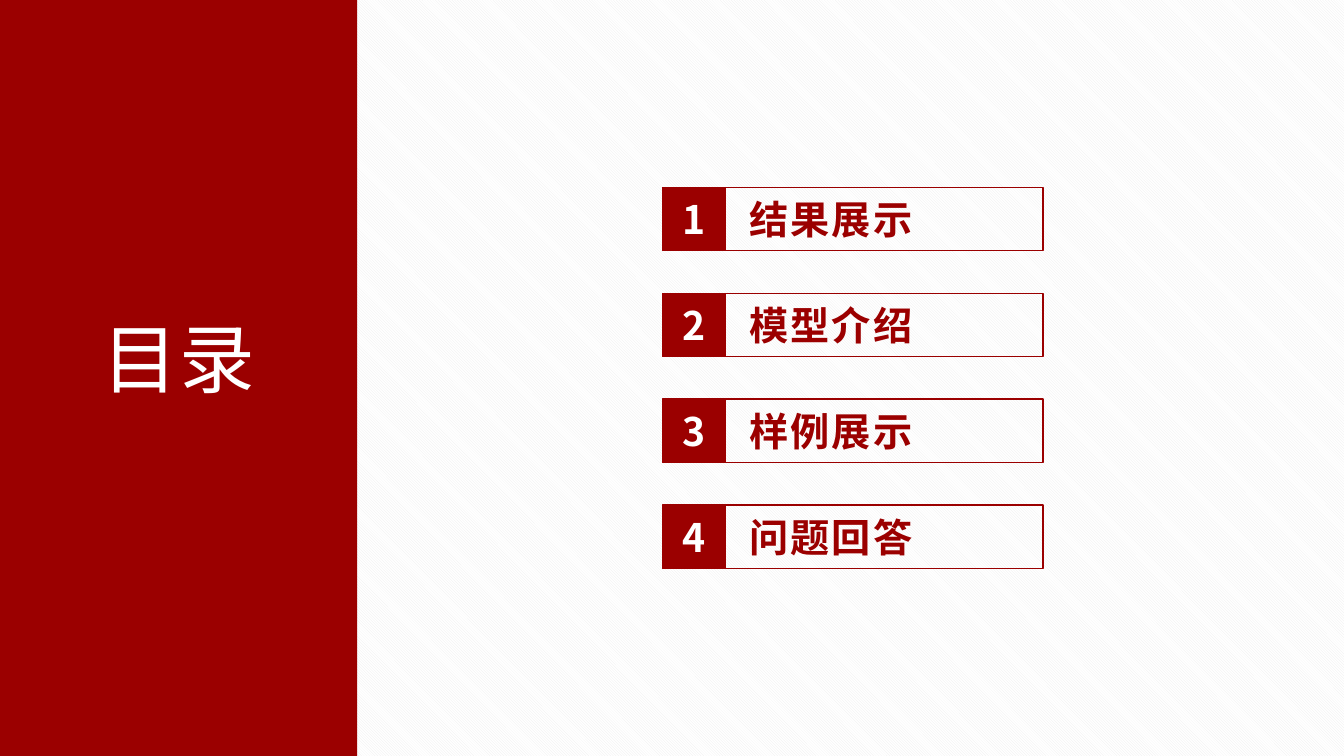
"""Build the agenda slide with a red title panel and four numbered entries."""
from dataclasses import dataclass

from pptx import Presentation
from pptx.dml.color import RGBColor
from pptx.enum import dml, shapes, text
from pptx.oxml import ns
from pptx.util import Cm, Pt
from lxml import etree

TITLE = "目录"
ENTRIES = ["结果展示", "模型介绍", "样例展示", "问题回答"]


@dataclass(frozen=True)
class Theme:
    red: RGBColor = RGBColor(0x9B, 0x00, 0x00)
    white: RGBColor = RGBColor(0xFF, 0xFF, 0xFF)
    stripe: RGBColor = RGBColor(0xEB, 0xEB, 0xEB)
    font: str = "Noto Sans CJK SC"
    title_size: int = 54
    entry_size: int = 28
    spacing: int = 150


THEME = Theme()
PAGE_WIDTH, PAGE_HEIGHT = Cm(33.87), Cm(19.05)
PANEL_WIDTH = Cm(9)
LIST_LEFT, LIST_TOP = Cm(16.69), Cm(4.72)
NUMBER_SIDE, ENTRY_WIDTH = Cm(1.6), Cm(8)
ROW_STEP = Cm(2.67)


def write(box, words, size, color, align, bold=False):
    frame = box.text_frame
    frame.text = words
    frame.word_wrap = True
    frame.auto_size = text.MSO_AUTO_SIZE.NONE
    frame.vertical_anchor = text.MSO_ANCHOR.MIDDLE
    para = frame.paragraphs[0]
    para.alignment = align
    font = para.font
    font.size, font.bold, font.name = Pt(size), bold, THEME.font
    font.color.rgb = color
    properties = para._p.pPr.find(ns.qn("a:defRPr"))
    properties.set("spc", str(THEME.spacing))
    etree.SubElement(properties, ns.qn("a:ea"), typeface=THEME.font)


def add_box(page, left, top, width, height, filled):
    box = page.shapes.add_shape(
        shapes.MSO_SHAPE.RECTANGLE, left, top, width, height)
    box.shadow.inherit = False
    if filled:
        box.fill.solid()
        box.fill.fore_color.rgb = THEME.red
    else:
        box.fill.background()
    box.line.color.rgb = THEME.red
    box.line.width = Pt(1)
    return box


def add_background(page):
    fill = page.background.fill
    fill.patterned()
    fill.pattern = dml.MSO_PATTERN.DARK_DOWNWARD_DIAGONAL
    fill.fore_color.rgb = THEME.stripe
    fill.back_color.rgb = THEME.white


def add_title(page):
    panel = add_box(page, 0, 0, PANEL_WIDTH, PAGE_HEIGHT, True)
    panel.line.fill.background()
    title = page.shapes.title
    title._element.addprevious(panel._element)
    title.left, title.top = Cm(0.56), Cm(7.9)
    title.width, title.height = Cm(7.9), Cm(2.18)
    write(title, TITLE, THEME.title_size, THEME.white, text.PP_ALIGN.CENTER)


def add_entry(page, number, words):
    top = LIST_TOP + (number - 1) * ROW_STEP
    badge = add_box(page, LIST_LEFT, top, NUMBER_SIDE, NUMBER_SIDE, True)
    write(badge, str(number), THEME.entry_size, THEME.white,
          text.PP_ALIGN.CENTER, bold=True)
    label = add_box(page, LIST_LEFT + NUMBER_SIDE, top,
                    ENTRY_WIDTH, NUMBER_SIDE, False)
    label.text_frame.margin_left = Cm(0.6)
    write(label, words, THEME.entry_size, THEME.red,
          text.PP_ALIGN.LEFT, bold=True)


def main():
    deck = Presentation()
    deck.slide_width, deck.slide_height = PAGE_WIDTH, PAGE_HEIGHT
    page = deck.slides.add_slide(deck.slide_layouts.get_by_name("Title Only"))
    add_background(page)
    add_title(page)
    for number, words in enumerate(ENTRIES, start=1):
        add_entry(page, number, words)
    deck.save("out.pptx")


if __name__ == "__main__":
    main()
